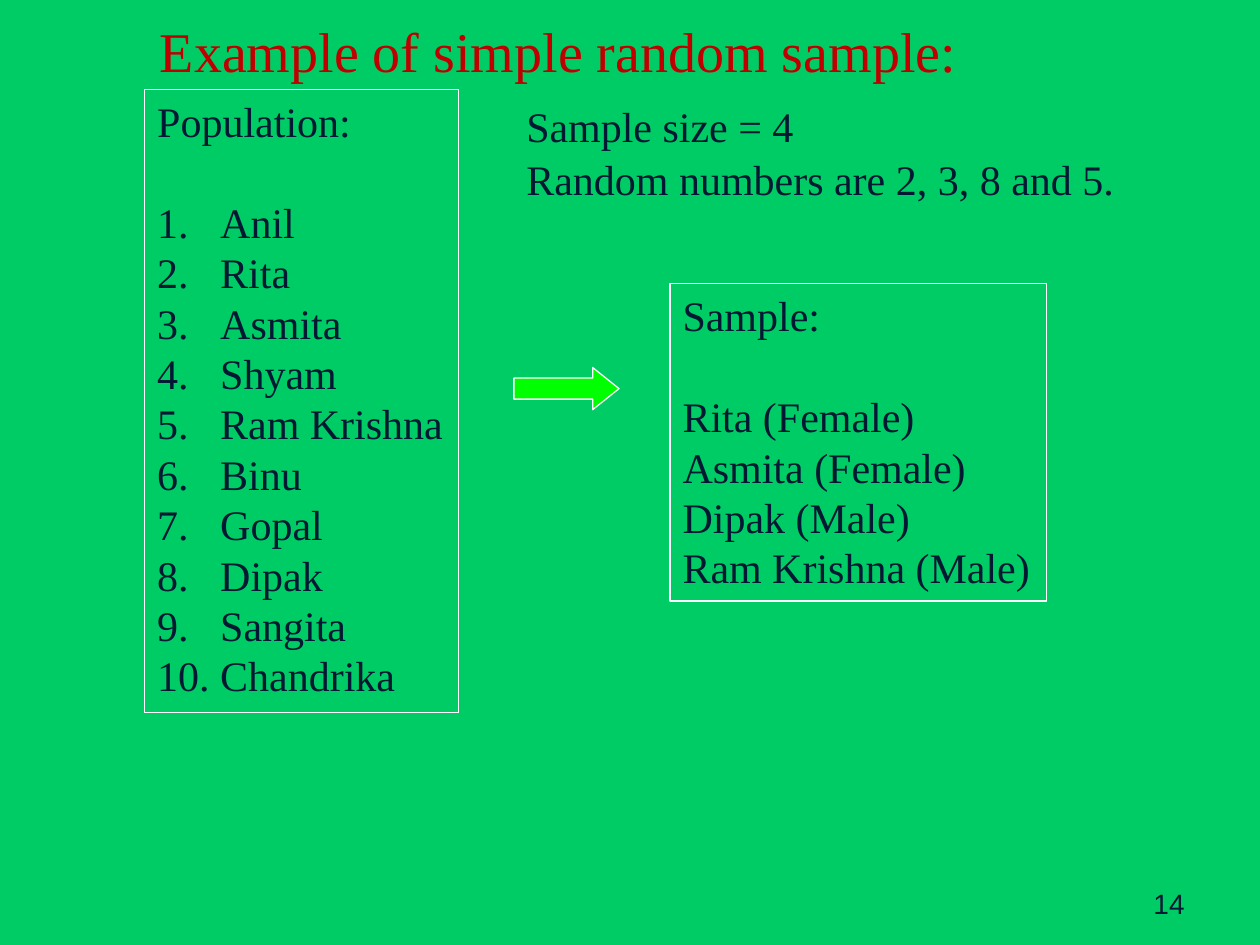
from lxml import etree
from pptx import Presentation
from pptx.dml.color import RGBColor
from pptx.enum.shapes import MSO_SHAPE
from pptx.enum.text import MSO_ANCHOR, MSO_AUTO_SIZE, PP_ALIGN
from pptx.oxml.ns import qn
from pptx.util import Cm, Pt

RECTANGLE, RIGHT_ARROW = MSO_SHAPE.RECTANGLE, MSO_SHAPE.RIGHT_ARROW
TOP, BOTTOM = MSO_ANCHOR.TOP, MSO_ANCHOR.BOTTOM
LEFT, RIGHT = PP_ALIGN.LEFT, PP_ALIGN.RIGHT
NO_AUTOFIT = MSO_AUTO_SIZE.NONE

COLORS = {
    "background": "00CC66",
    "title": "C00000",
    "text": "001933",
    "line": "FFFFFF",
    "arrow": "00FF00",
}
SERIF, SANS = "Times New Roman", "Arial"
BODY_SIZE = 24
BLANK_LINE = Pt(28.8)
HANGING = Cm(1.27)

# Positions are left, top, width, height in centimetres.
TITLE = ("Example of simple random sample:", (2.97, 0.2, 16.71, 1.63))
FACTS = [
    ("Sample size = 4", (10.36, 1.9, 5.94, 1.27)),
    ("Random numbers are 2, 3, 8 and 5.", (10.36, 2.97, 12.47, 1.27)),
]
LISTS = [
    {
        "heading": "Population:",
        "people": ["Anil", "Rita", "Asmita", "Shyam", "Ram Krishna",
                   "Binu", "Gopal", "Dipak", "Sangita", "Chandrika"],
        "numbered": True,
        "box": (2.92, 1.8, 6.32, 12.57),
    },
    {
        "heading": "Sample:",
        "people": ["Rita (Female)", "Asmita (Female)", "Dipak (Male)",
                   "Ram Krishna (Male)"],
        "numbered": False,
        "box": (13.51, 5.72, 7.59, 6.4),
    },
]
ARROW_BOX = (10.36, 7.41, 2.12, 0.85)
PAGE_NUMBER = ("14", (18.21, 17.35, 5.92, 1.32))


def rgb(name):
    return RGBColor.from_string(COLORS[name])


def place(shape, box):
    shape.left, shape.top, shape.width, shape.height = map(Cm, box)


def write(shape, text, size=BODY_SIZE, font=SERIF, color="text",
          align=LEFT, anchor=TOP, wrap=False):
    frame = shape.text_frame
    frame.text = text
    frame.word_wrap = wrap
    frame.auto_size = NO_AUTOFIT
    frame.vertical_anchor = anchor
    for paragraph in frame.paragraphs:
        paragraph.alignment = align
        for run in paragraph.runs:
            run.font.size = Pt(size)
            run.font.name = font
            run.font.color.rgb = rgb(color)


def add_text(slide, text, box, **style):
    write(slide.shapes.add_textbox(*map(Cm, box)), text, **style)


def add_outlined(slide, preset, box):
    shape = slide.shapes.add_shape(preset, *map(Cm, box))
    shape.shadow.inherit = False
    shape.line.color.rgb = rgb("line")
    shape.line.width = Pt(0.75)
    return shape


def hang(paragraph, numbered):
    """Give a paragraph a hanging indent and, if asked, an automatic number."""
    properties = paragraph._p.get_or_add_pPr()
    properties.set("marL", str(HANGING))
    properties.set("indent", str(-HANGING))
    if numbered:
        etree.SubElement(properties, qn("a:buAutoNum"), type="arabicPeriod")


def add_list(slide, heading, people, numbered, box):
    shape = add_outlined(slide, RECTANGLE, box)
    shape.fill.background()
    write(shape, "\n".join([heading, *people]))
    first, *rest = shape.text_frame.paragraphs
    hang(first, False)
    first.space_after = BLANK_LINE
    for paragraph in rest:
        hang(paragraph, numbered)


def main():
    presentation = Presentation()
    presentation.slide_width, presentation.slide_height = Cm(25.4), Cm(19.05)
    slide = presentation.slides.add_slide(presentation.slide_layouts[5])
    slide.background.fill.solid()
    slide.background.fill.fore_color.rgb = rgb("background")

    title, title_box = TITLE
    place(slide.shapes.title, title_box)
    write(slide.shapes.title, title, size=32, color="title")

    for fact, box in FACTS:
        add_text(slide, fact, box)
    for group in LISTS:
        add_list(slide, **group)

    arrow = add_outlined(slide, RIGHT_ARROW, ARROW_BOX)
    arrow.adjustments[1] = 0.625
    arrow.fill.solid()
    arrow.fill.fore_color.rgb = rgb("arrow")

    number, number_box = PAGE_NUMBER
    add_text(slide, number, number_box, size=16, font=SANS,
             align=RIGHT, anchor=BOTTOM, wrap=True)

    presentation.save("out.pptx")


if __name__ == "__main__":
    main()
